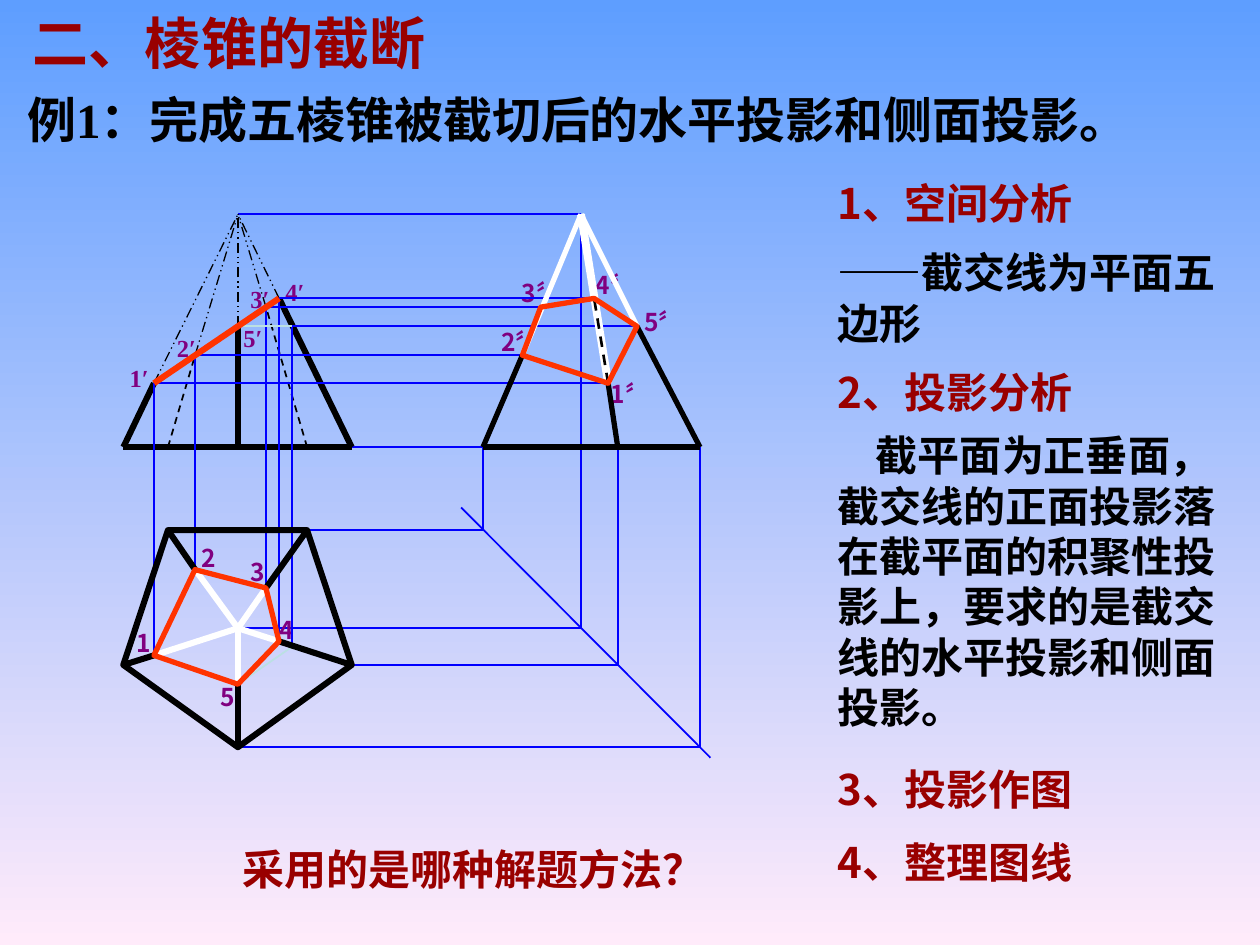
from lxml import etree
from pptx import Presentation
from pptx.dml.color import RGBColor
from pptx.enum.dml import MSO_LINE
from pptx.enum.shapes import MSO_CONNECTOR
from pptx.enum.text import MSO_ANCHOR, MSO_AUTO_SIZE, PP_ALIGN
from pptx.oxml.ns import qn
from pptx.util import Pt

DASH, CHAIN = MSO_LINE.DASH, MSO_LINE.DASH_DOT_DOT
STRAIGHT = MSO_CONNECTOR.STRAIGHT
MIDDLE, CENTER = MSO_ANCHOR.MIDDLE, PP_ALIGN.CENTER
NOFIT = MSO_AUTO_SIZE.NONE
SKY = RGBColor(0x5E, 0x9E, 0xFF)
PINK = RGBColor(0xFF, 0xEB, 0xFA)
BLUE = RGBColor(0x00, 0x00, 0xFF)
PALE = RGBColor(0xBB, 0xE0, 0xE3)
BLACK = RGBColor(0x00, 0x00, 0x00)
WHITE = RGBColor(0xFF, 0xFF, 0xFF)
ORANGE = RGBColor(0xFF, 0x33, 0x00)
RED = RGBColor(0x99, 0x00, 0x00)
PURPLE = RGBColor(0x80, 0x00, 0x80)
SANS, SERIF = "Noto Sans CJK SC", "Times New Roman"

deck = Presentation()
deck.slide_width, deck.slide_height = Pt(720), Pt(540)
slide = deck.slides.add_slide(deck.slide_layouts[5])
shapes = slide.shapes
fill = slide.background.fill
fill.gradient()
fill.gradient_angle = 270
for stop, color in zip(fill.gradient_stops, (SKY, PINK)):
    stop.color.rgb = color


def draw(start, end, color=BLUE, width=1, dash=None):
    line = shapes.add_connector(STRAIGHT, *map(Pt, start + end))
    line.line.color.rgb = color
    line.line.width = Pt(width)
    if dash:
        line.line.dash_style = dash
    etree.SubElement(line._element.spPr, qn("a:effectLst"))


def write(box, texts, size, color, font=SANS):
    frame = box.text_frame
    frame.word_wrap = True
    frame.auto_size = NOFIT
    para = frame.paragraphs[0]
    for text in texts:
        run = para.add_run()
        run.text = text
        run.font.size = Pt(size)
        run.font.bold = True
        run.font.color.rgb = color
        run.font.name = font
        etree.SubElement(run.font._element, qn("a:ea"), typeface=SANS)
    return para


base = [(70.5, 380), (96, 303), (175.5, 303), (201, 380), (136, 427)]
cut = [(88, 374.5), (111.5, 325.5), (152, 336), (159.5, 366.5), (136, 391)]
high = [219, 203, 175.5, 170.5, 186.5]
peak, floor, shift = 122.5, 255.5, -27
hub, tip, apex = (136, 359), (136, peak), (332, peak)
front = [(x, z) for (x, y), z in zip(cut, high)]
side = [(y + shift, z) for (x, y), z in zip(cut, high)]
foot = [(x, floor) for x, y in base]
heel = [(y + shift, floor) for x, y in base]

draw(foot[3], heel[2])
draw((263.5, 290), (406, 433))
for (x, y), top in zip(base[2:] + [hub], [floor] * 3 + [peak]):
    draw((x, y), (y + shift, y))
    draw((y + shift, y), (y + shift, top))
draw(tip, apex)

for point in front:
    draw(point, tip, BLACK, 0.75, CHAIN)
draw(foot[0], foot[3], BLACK, 3.5)
for i in (0, 3, 4):
    draw(foot[i], front[i], BLACK, 3.5)
for i in (1, 2):
    draw(foot[i], front[i], BLACK, 1, DASH)

labels = [
    ("′", SERIF, 42.5, [(67, 204), (94, 186.5), (136, 159), (156, 155), (132, 181)]),
    ("", SANS, 31, [(71, 355.5), (108, 306.5), (136, 314.5), (152.5, 348), (119, 386)]),
    ("〞", SANS, 50, [(342, 213), (279.5, 183.5), (291, 155.5), (333.5, 151), (361, 172)]),
]
for mark, font, wide, spots in labels:
    for i, (x, y) in enumerate(spots, 1):
        box = shapes.add_textbox(Pt(x), Pt(y), Pt(wide), Pt(24.5))
        write(box, [f"{i}{mark}"], 14, PURPLE, font)

for start, end in zip(front[:4], cut):
    draw(start, end)
draw((167, high[4]), (167, 369.5))
draw(cut[4], (167, 369.5), PALE)
for start, end in zip(front, side):
    draw(start, end)
draw(front[4], (167, high[4]), PALE)
draw(front[0], front[3], ORANGE, 3.5)

for start, mid in zip(base, cut):
    draw(start, mid, BLACK, 3.5)
    draw(mid, hub, WHITE, 3.5)

draw(heel[1], heel[4], BLACK, 3)
for i, width in ((4, 3), (1, 3), (0, 4.5)):
    draw(heel[i], side[i], BLACK, 3)
    draw(side[i], apex, WHITE, width)
draw(side[0], side[3], BLACK, 1.5, DASH)

for ring, color, width in ((base, BLACK, 3.5), (cut, ORANGE, 3), (side, ORANGE, 3)):
    dots = [(Pt(x), Pt(y)) for x, y in ring]
    maker = shapes.build_freeform(*dots[0])
    maker.add_line_segments(dots[1:], close=True)
    shape = maker.convert_to_shape()
    shape.shadow.inherit = False
    shape.fill.background()
    shape.line.color.rgb = color
    shape.line.width = Pt(width)

notes = [
    (98, 36, RED, "1、空间分析"),
    (137.5, 65, BLACK, "——截交线为平面五边形"),
    (206, 36, RED, "2、投影分析"),
    (242, 180, BLACK, "截平面为正垂面，截交线的正面投影落在截平面的积聚性投影上，要求的是截交线的水平投影和侧面投影。"),
    (432.5, 36, RED, "3、投影作图"),
    (474.5, 36, RED, "4、整理图线"),
]
for top, tall, color, text in notes:
    box = shapes.add_textbox(Pt(471.5), Pt(top), Pt(248.5), Pt(tall))
    para = write(box, [text], 24, color)
    if tall == 180:
        para._p.get_or_add_pPr().set("indent", str(Pt(22)))

box = shapes.add_textbox(Pt(8.5), Pt(47.5), Pt(680.5), Pt(41))
para = write(box, ["例1", "：完成五棱锥被截切后的水平投影和侧面投影。"], 28, BLACK)
para.runs[0].font.name = SERIF

box = shapes.add_textbox(Pt(112.5), Pt(481.5), Pt(316), Pt(33))
box.text_frame.vertical_anchor = MIDDLE
para = write(box, ["采用的是哪种解题方法？"], 24, RED)
para.alignment = CENTER
para.line_spacing = 0.9

title = shapes.title
title.left, title.top, title.width, title.height = Pt(3), Pt(3.5), Pt(256), Pt(41)
title.text_frame.vertical_anchor = MIDDLE
write(title, ["二、棱锥的截断"], 32, RED, "Arial").alignment = CENTER

deck.save("out.pptx")
